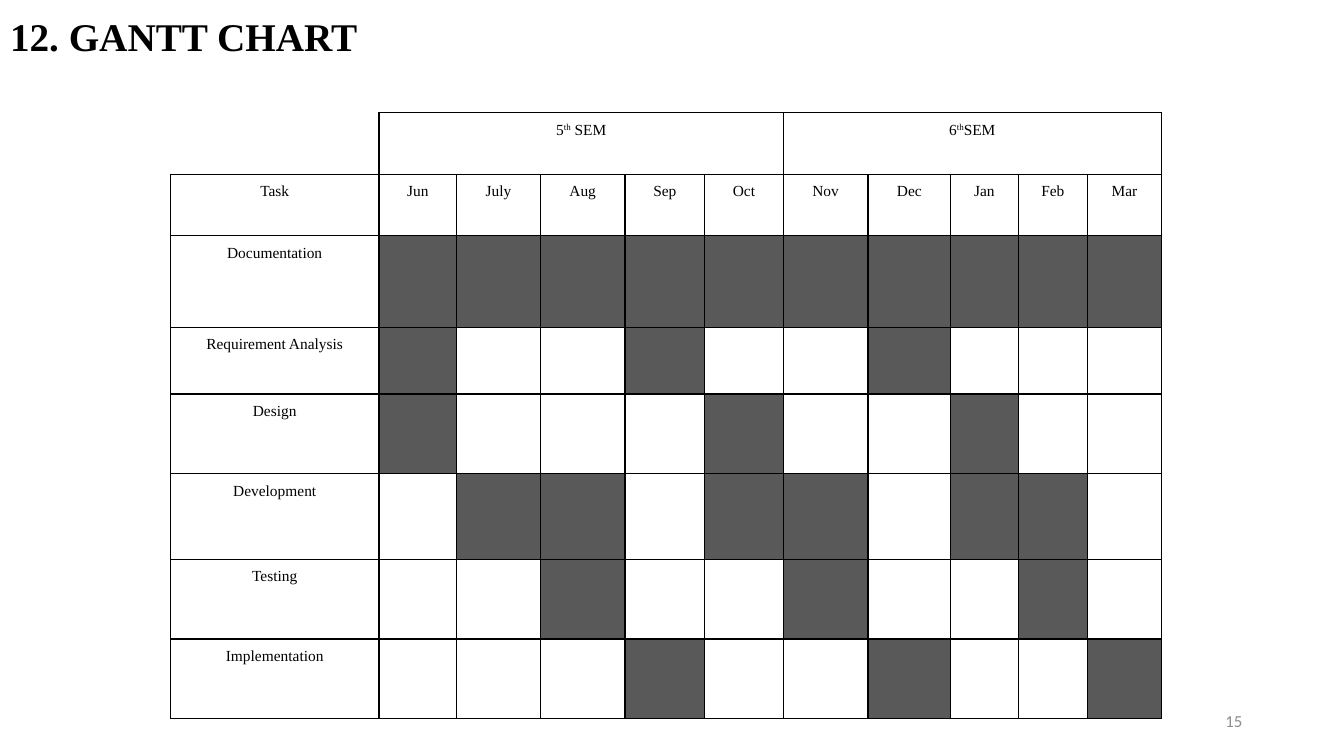
from dataclasses import dataclass

from lxml.etree import SubElement
from pptx import Presentation
from pptx.dml.color import RGBColor
from pptx.enum.text import MSO_ANCHOR, MSO_AUTO_SIZE, PP_ALIGN
from pptx.oxml.ns import qn
from pptx.util import Inches, Pt


@dataclass(frozen=True)
class Theme:
    """Colours, fonts and type sizes of the slide."""
    ink: str = "000000"
    paper: str = "FFFFFF"
    busy: str = "595959"
    muted: str = "8C8C8C"
    serif: str = "Times New Roman"
    sans: str = "Calibri"
    title_size: int = 28
    cell_size: int = 11
    number_size: int = 12
    rule_width: int = 1


THEME = Theme()
SLIDE_SIZE = (13.33, 7.5)
CHART_ORIGIN = (1.69, 1.12)
COLUMN_WIDTHS = [2.07, 0.77, 0.83, 0.84, 0.79, 0.78, 0.84, 0.82, 0.67, 0.69, 0.73]
ROW_HEIGHTS = [0.61, 0.61, 0.91, 0.66, 0.79, 0.85, 0.79, 0.79]
MONTHS = "Jun July Aug Sep Oct Nov Dec Jan Feb Mar".split()
SEMESTER_MONTHS = 5
SEMESTERS = [("5", "th", " SEM"), ("6", "th", "SEM")]
# Each task with the numbers of its busy months, June being 1
TASKS = {
    "Documentation": range(1, len(MONTHS) + 1),
    "Requirement Analysis": (1, 4, 7),
    "Design": (1, 5, 8),
    "Development": (2, 3, 5, 6, 8, 9),
    "Testing": (3, 6, 9),
    "Implementation": (4, 7, 10),
}


def write(frame, *pieces, size, font, color=THEME.ink, bold=False,
          align=PP_ALIGN.LEFT, spacing=None, after=None, raised=()):
    """Write one paragraph; pieces whose index is in raised are superscript."""
    paragraph = frame.paragraphs[0]
    paragraph.alignment = align
    paragraph.line_spacing = spacing
    paragraph.space_after = after
    for index, piece in enumerate(pieces):
        run = paragraph.add_run()
        run.text = piece
        run.font.size, run.font.name, run.font.bold = Pt(size), font, bold
        run.font.color.rgb = RGBColor.from_string(color)
        if index in raised:
            run.font._element.set("baseline", "30000")


def rule_cell(cell, sides="LRTB"):
    """Draw the cell's border on the given sides and hide the others."""
    properties = cell._tc.get_or_add_tcPr()
    for side in "LRTB":
        line = SubElement(properties, qn(f"a:ln{side}"), w=str(Pt(THEME.rule_width)))
        if side in sides:
            ink = SubElement(line, qn("a:solidFill"))
            SubElement(ink, qn("a:srgbClr"), val=THEME.ink)
        else:
            SubElement(line, qn("a:noFill"))


def fill_cell(cell, color):
    """Give the cell a plain fill."""
    cell.fill.solid()
    cell.fill.fore_color.rgb = RGBColor.from_string(color)


def label_cell(cell, *pieces, **options):
    """Write a centred label at the top of a cell."""
    cell.margin_left = cell.margin_right = Inches(0.07)
    cell.margin_top = cell.margin_bottom = 0
    write(cell.text_frame, *pieces, size=THEME.cell_size, font=THEME.serif,
          align=PP_ALIGN.CENTER, spacing=1.5, after=Pt(12), **options)


def add_title(slide, heading):
    """Move the title placeholder to the top left and write the heading."""
    title = slide.shapes.title
    title.left, title.top, title.width, title.height = map(
        Inches, (0, -0.34, 11.5, 1.45))
    frame = title.text_frame
    frame.auto_size = MSO_AUTO_SIZE.NONE
    frame.vertical_anchor = MSO_ANCHOR.MIDDLE
    write(frame, heading, size=THEME.title_size, font=THEME.serif,
          bold=True, spacing=0.9)


def add_gantt(slide):
    """Build the schedule: semesters, months, then one row for each task."""
    extent = (sum(COLUMN_WIDTHS), sum(ROW_HEIGHTS))
    gantt = slide.shapes.add_table(
        len(ROW_HEIGHTS), len(COLUMN_WIDTHS),
        *map(Inches, CHART_ORIGIN + extent)).table
    gantt.first_row = gantt.horz_banding = False
    for column, width in zip(gantt.columns, COLUMN_WIDTHS):
        column.width = Inches(width)
    for row, height in zip(gantt.rows, ROW_HEIGHTS):
        row.height = Inches(height)

    corner = gantt.cell(0, 0)
    busy_cells = {(row, month) for row, months in enumerate(TASKS.values(), 2)
                  for month in months}
    for row in range(len(ROW_HEIGHTS)):
        for column in range(len(COLUMN_WIDTHS)):
            cell = gantt.cell(row, column)
            rule_cell(cell, "LRTB" if row or column else "RB")
            fill_cell(cell, THEME.busy if (row, column) in busy_cells else THEME.paper)
    corner.fill.background()

    for index, semester in enumerate(SEMESTERS):
        first = 1 + index * SEMESTER_MONTHS
        heading = gantt.cell(0, first)
        heading.merge(gantt.cell(0, first + SEMESTER_MONTHS - 1))
        label_cell(heading, *semester, raised=(1,))
    for column, month in enumerate(["Task", *MONTHS]):
        label_cell(gantt.cell(1, column), month)
    for row, task in enumerate(TASKS, 2):
        label_cell(gantt.cell(row, 0), task)


def add_page_number(slide, number):
    """Write the page number at the bottom right."""
    frame = slide.shapes.add_textbox(*map(Inches, (9.42, 6.95, 3, 0.4))).text_frame
    frame.word_wrap = True
    frame.vertical_anchor = MSO_ANCHOR.MIDDLE
    write(frame, number, size=THEME.number_size, font=THEME.sans,
          color=THEME.muted, align=PP_ALIGN.RIGHT)


def main():
    """Build and save the slide."""
    deck = Presentation()
    deck.slide_width, deck.slide_height = map(Inches, SLIDE_SIZE)
    slide = deck.slides.add_slide(deck.slide_layouts.get_by_name("Title Only"))
    add_title(slide, "12. GANTT CHART")
    add_gantt(slide)
    add_page_number(slide, "15")
    deck.save("out.pptx")


main()
